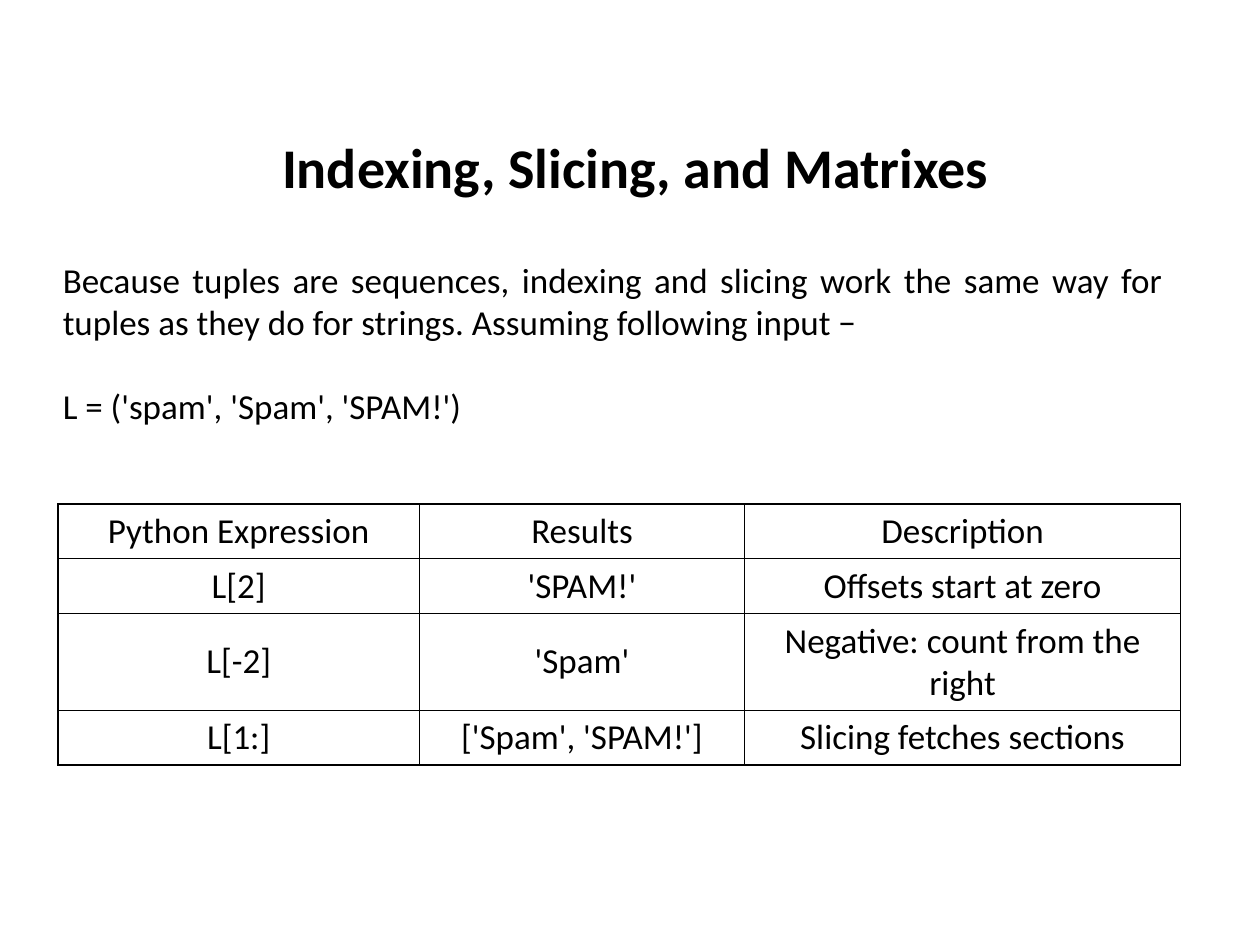
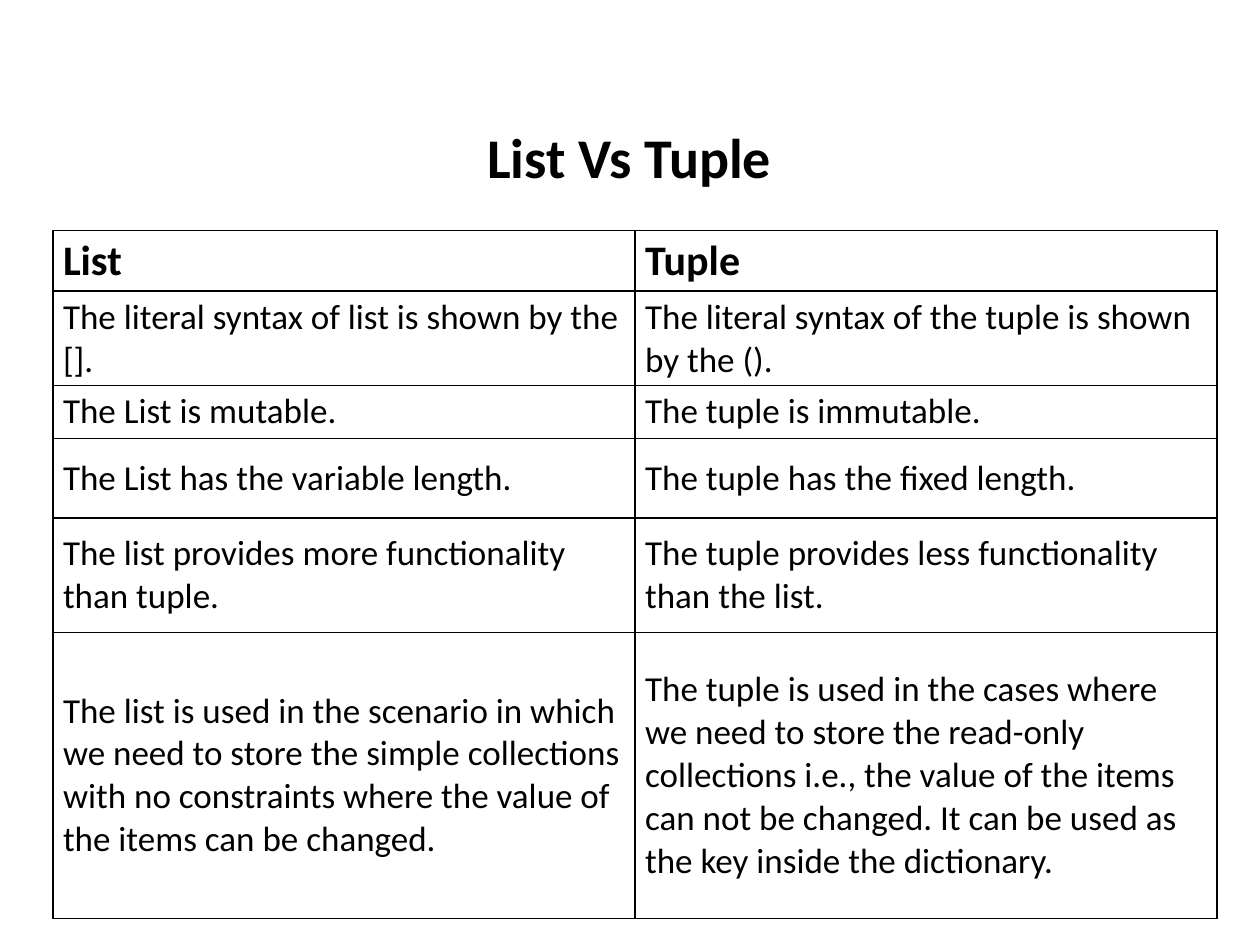
"""Build two slides on tuple indexing and on lists versus tuples."""
from dataclasses import dataclass

from pptx import Presentation
from pptx.dml.color import RGBColor
from pptx.enum.text import MSO_ANCHOR, MSO_AUTO_SIZE, PP_ALIGN
from pptx.oxml import parse_xml
from pptx.oxml.ns import nsdecls
from pptx.util import Inches, Pt


@dataclass(frozen=True)
class Theme:
    font: str = "Calibri"
    ink: str = "000000"
    paper: str = "FFFFFF"
    title_size: int = 32
    heading_size: int = 24
    body_size: int = 20
    paragraph_gap: int = 24
    border_width: int = 1


class Deck:
    def __init__(self, theme):
        self.theme = theme
        self.presentation = Presentation()
        self.presentation.slide_width = Inches(10)
        self.presentation.slide_height = Inches(7.5)
        self.slide = None

    def new_slide(self, title, title_top):
        self.slide = self.presentation.slides.add_slide(self.presentation.slide_layouts[6])
        background = self.slide.background.fill
        background.solid()
        background.fore_color.rgb = RGBColor.from_string(self.theme.paper)
        self.text((0.42, title_top, 9.25, 0.64), [title], PP_ALIGN.CENTER,
                  self.theme.title_size, bold=True)

    def add_words(self, paragraph, words, align, size, bold=False):
        paragraph.alignment = align
        run = paragraph.add_run()
        run.text = words
        run.font.name = self.theme.font
        run.font.size = Pt(size)
        run.font.bold = bold
        run.font.color.rgb = RGBColor.from_string(self.theme.ink)

    def text(self, box, paragraphs, align, size, bold=False):
        frame = self.slide.shapes.add_textbox(*map(Inches, box)).text_frame
        frame.word_wrap = True
        frame.auto_size = MSO_AUTO_SIZE.SHAPE_TO_FIT_TEXT
        for index, words in enumerate(paragraphs):
            paragraph = frame.add_paragraph() if index else frame.paragraphs[0]
            if index:
                paragraph.space_before = Pt(self.theme.paragraph_gap)
            self.add_words(paragraph, words, align, size, bold)

    def border(self, cell):
        properties = cell._tc.get_or_add_tcPr()
        for side in ("lnL", "lnR", "lnT", "lnB"):
            properties.append(parse_xml(
                f'<a:{side} {nsdecls("a")} w="{Pt(self.theme.border_width)}">'
                f'<a:solidFill><a:srgbClr val="{self.theme.ink}"/></a:solidFill></a:{side}>'))

    def table(self, left, top, widths, heights, rows, align, insets, bold_header=False):
        grid = self.slide.shapes.add_table(
            len(rows), len(widths), Inches(left), Inches(top),
            Inches(sum(widths)), Inches(sum(heights))).table
        grid.first_row = grid.horz_banding = False
        for column, width in zip(grid.columns, widths):
            column.width = Inches(width)
        for index, (row, height, entries) in enumerate(zip(grid.rows, heights, rows)):
            row.height = Inches(height)
            heading = bold_header and index == 0
            size = self.theme.heading_size if heading else self.theme.body_size
            for cell, words in zip(row.cells, entries):
                self.border(cell)
                cell.fill.background()
                cell.vertical_anchor = MSO_ANCHOR.MIDDLE
                cell.margin_left = cell.margin_right = Inches(insets[0])
                cell.margin_top = cell.margin_bottom = Inches(insets[1])
                self.add_words(cell.text_frame.paragraphs[0], words, align, size, heading)


EXPRESSIONS = [
    ("Python Expression", "Results", "Description"),
    ("L[2]", "'SPAM!'", "Offsets start at zero"),
    ("L[-2]", "'Spam'", "Negative: count from the right"),
    ("L[1:]", "['Spam', 'SPAM!']", "Slicing fetches sections"),
]

DIFFERENCES = [
    ("List", "Tuple"),
    ("The literal syntax of list is shown by the [].",
     "The literal syntax of the tuple is shown by the ()."),
    ("The List is mutable.", "The tuple is immutable."),
    ("The List has the variable length.", "The tuple has the fixed length."),
    ("The list provides more functionality than tuple.",
     "The tuple provides less functionality than the list."),
    ("The list is used in the scenario in which we need to store the simple collections "
     "with no constraints where the value of the items can be changed.",
     "The tuple is used in the cases where we need to store the read-only collections i.e., "
     "the value of the items can not be changed. It can be used as the key inside the "
     "dictionary."),
]


def main():
    deck = Deck(Theme())

    deck.new_slide("Indexing, Slicing, and Matrixes", 1)
    deck.text((0.4, 2, 8.93, 1.45),
              ["Because tuples are sequences, indexing and slicing work the same way for "
               "tuples as they do for strings. Assuming following input −",
               "L = ('spam', 'Spam', 'SPAM!')"],
              PP_ALIGN.JUSTIFY, deck.theme.body_size)
    deck.table(0.46, 4, (2.87, 2.58, 3.46), (0.43, 0.43, 0.77, 0.43), EXPRESSIONS,
               PP_ALIGN.CENTER, (0.1, 0.05))

    deck.new_slide("List Vs Tuple ", 0.92)
    deck.table(0.42, 1.83, (4.62, 4.62), (0.48, 0.75, 0.42, 0.63, 0.91, 2.27), DIFFERENCES,
               PP_ALIGN.LEFT, (0.08, 0.04), bold_header=True)

    deck.presentation.save("out.pptx")


if __name__ == "__main__":
    main()
